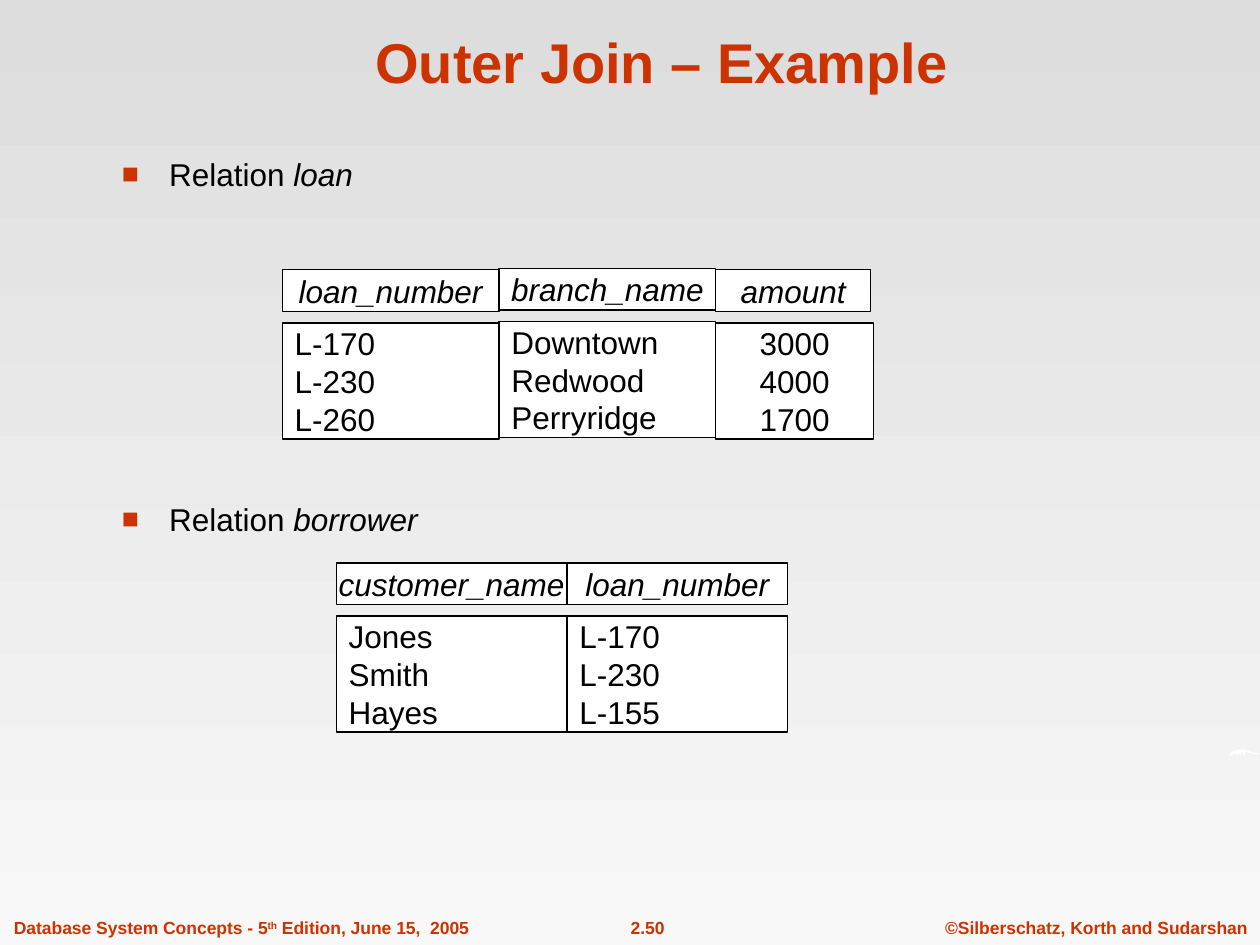
from lxml.etree import SubElement
from pptx import Presentation
from pptx.dml.color import RGBColor
from pptx.enum.shapes import MSO_SHAPE
from pptx.enum.text import MSO_ANCHOR, MSO_AUTO_SIZE, PP_ALIGN
from pptx.oxml.ns import qn
from pptx.util import Cm, Pt

BLACK, WHITE, RED = "000000", "FFFFFF", "CC3300"
LEFT, CENTER = PP_ALIGN.LEFT, PP_ALIGN.CENTER


def rgb(value):
    return RGBColor.from_string(value)


def set_attrs(obj, values):
    for name, value in values.items():
        setattr(obj, name, value)


class SlideBuilder:
    font = "Arial"
    title = {"size": Pt(32), "bold": True}
    body = {"size": Pt(18)}
    footer_font = {"size": Pt(10), "bold": True}
    head_h, body_h, body_offset = 0.84, 2.34, 1.07

    def __init__(self, prs):
        self.s = prs.slides.add_slide(prs.slide_layouts[6])

    def background(self, top, bottom):
        fill = self.s.background.fill
        fill.gradient()
        fill.gradient_angle = 270
        for stop, color in zip(fill.gradient_stops, (top, bottom)):
            stop.color.rgb = rgb(color)

    def add_runs(self, p, runs, style, color=BLACK):
        """Add (text, extra font values) runs to a paragraph."""
        added = []
        for text, extra in runs:
            r = p.add_run()
            r.text = text
            set_attrs(r.font, {"name": self.font, **style, **extra})
            r.font.color.rgb = rgb(color)
            added.append(r)
        return added

    def textbox(self, box, **frame):
        tf = self.s.shapes.add_textbox(*map(Cm, box)).text_frame
        set_attrs(tf, {"word_wrap": True, **frame})
        return tf.paragraphs[0]

    def heading(self, box, text):
        p = self.textbox(box, vertical_anchor=MSO_ANCHOR.BOTTOM)
        p.alignment = CENTER
        self.add_runs(p, [(text, {})], self.title, RED)

    def bullet(self, box, runs):
        p = self.textbox(box)
        p.space_before = Pt(7.9)
        self.add_runs(p, runs, self.body)
        pPr = p._p.get_or_add_pPr()
        pPr.set("marL", str(Cm(0.95)))
        pPr.set("indent", str(-Cm(0.95)))
        clr = SubElement(pPr, qn("a:buClr"))
        SubElement(clr, qn("a:srgbClr"), val=RED)
        SubElement(pPr, qn("a:buSzPct"), val="90000")
        SubElement(pPr, qn("a:buFont"), typeface=self.font)
        SubElement(pPr, qn("a:buChar"), char="■")

    def footer(self, left, width, texts, align=CENTER):
        p = self.textbox((left, 18.36, width, 0.69), word_wrap=False,
                         auto_size=MSO_AUTO_SIZE.SHAPE_TO_FIT_TEXT)
        set_attrs(p, {"alignment": align, "space_before": Pt(6.2)})
        return self.add_runs(p, [(t, {}) for t in texts], self.footer_font, RED)

    def cell(self, box, lines, align, **extra):
        sp = self.s.shapes.add_shape(MSO_SHAPE.RECTANGLE, *map(Cm, box))
        sp.shadow.inherit = False
        sp.fill.solid()
        sp.fill.fore_color.rgb = rgb(WHITE)
        sp.line.color.rgb = rgb(BLACK)
        sp.line.width = Pt(0.75)
        tf = sp.text_frame
        set_attrs(tf, {"word_wrap": False, "vertical_anchor": MSO_ANCHOR.MIDDLE})
        for i, line in enumerate(lines):
            p = tf.add_paragraph() if i else tf.paragraphs[0]
            p.alignment = align
            self.add_runs(p, [(line, extra)], self.body)

    def column(self, left, top, width, header, rows, align=LEFT, body_width=None):
        """A header cell with a separate block of values below it."""
        self.cell((left, top, width, self.head_h), [header], CENTER, italic=True)
        self.cell((left, top + self.body_offset, body_width or width, self.body_h),
                  rows, align)

    def outline(self, points, color):
        start, *rest = [(Cm(x), Cm(y)) for x, y in points]
        builder = self.s.shapes.build_freeform(*start)
        builder.add_line_segments(rest, close=True)
        sp = builder.convert_to_shape()
        sp.shadow.inherit = False
        sp.fill.solid()
        sp.fill.fore_color.rgb = rgb(color)
        sp.line.fill.background()


def main():
    prs = Presentation()
    set_attrs(prs, {"slide_width": Cm(25.4), "slide_height": Cm(19.05)})
    s = SlideBuilder(prs)
    s.background("DDDDDD", "F8F8F8")

    # Footer
    s.footer(18.8, 6.6, ["©Silberschatz, Korth and Sudarshan"])
    s.footer(11.81, 2.49, ["2.50"])
    edition = s.footer(0.03, 9.68, ["Database System Concepts - 5", "th",
                                    " Edition, June 15,  2005"], LEFT)
    edition[1]._r.get_or_add_rPr().set("baseline", "30000")

    # White brush stroke at the right edge
    s.outline([(24.77, 15.27), (24.82, 15.16), (24.87, 15.14), (24.97, 15.11),
               (25.07, 15.11), (25.22, 15.16), (25.4, 15.19), (25.35, 15.21),
               (25.22, 15.19), (25.1, 15.16), (25.1, 15.24), (25.02, 15.16),
               (25.02, 15.24), (24.94, 15.16), (24.97, 15.24), (24.89, 15.19),
               (24.79, 15.24)], WHITE)

    # Title and bullets
    s.heading((2.13, 0.33, 22.43, 1.7), "Outer Join – Example")
    for top, width, name in ((3, 19.05, "loan"), (9.96, 19.53, "borrower")):
        s.bullet((2.21, top, width, 1.35),
                 [("Relation ", {}), (name, {"italic": True})])

    # Relation borrower
    s.column(6.78, 11.35, 4.65, "customer_name", ["Jones", "Smith", "Hayes"])
    s.column(11.43, 11.35, 4.45, "loan_number", ["L-170", "L-230", "L-155"])

    # Relation loan
    s.column(14.43, 5.44, 3.12, "amount", ["3000", "4000", "1700"], CENTER, 3.18)
    s.column(5.69, 5.44, 4.37, "loan_number", ["L-170", "L-230", "L-260"])
    s.column(10.06, 5.41, 4.37, "branch_name", ["Downtown", "Redwood", "Perryridge"])

    prs.save("out.pptx")


if __name__ == "__main__":
    main()
